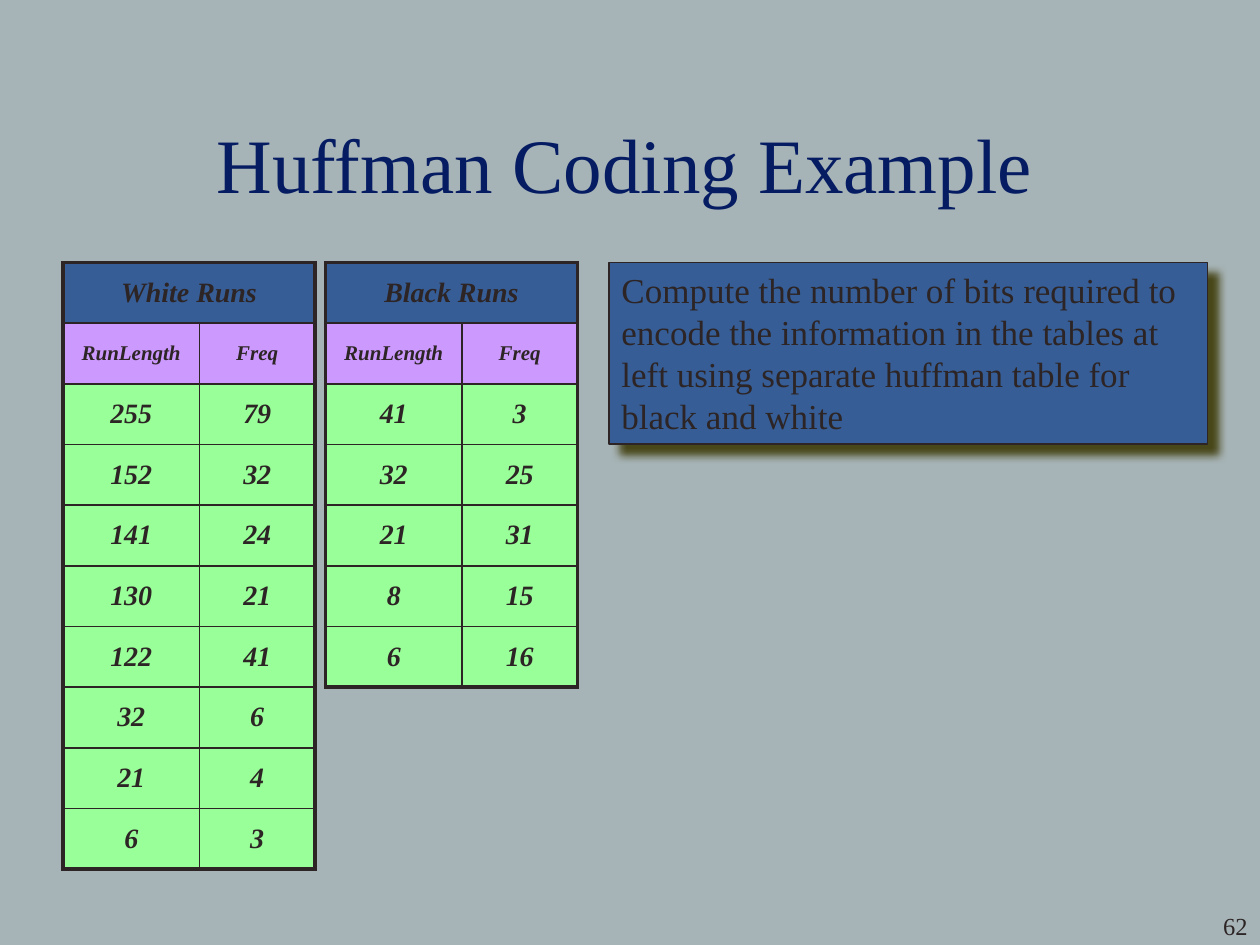
from lxml import etree
from pptx import Presentation
from pptx.dml.color import RGBColor
from pptx.enum.shapes import MSO_SHAPE
from pptx.enum.text import MSO_ANCHOR, MSO_AUTO_SIZE, PP_ALIGN
from pptx.oxml import parse_xml
from pptx.oxml.ns import nsdecls, qn
from pptx.util import Inches, Pt

RECT = MSO_SHAPE.RECTANGLE
MIDDLE = MSO_ANCHOR.MIDDLE
TOP = MSO_ANCHOR.TOP
GROW = MSO_AUTO_SIZE.SHAPE_TO_FIT_TEXT
LEFT, CENTER, RIGHT = PP_ALIGN.LEFT, PP_ALIGN.CENTER, PP_ALIGN.RIGHT

GREY = RGBColor(0xA7, 0xB4, 0xB7)
INK = RGBColor(0x2D, 0x25, 0x25)
NAVY = RGBColor(0x06, 0x1C, 0x62)
BLUE = RGBColor(0x36, 0x5D, 0x96)
LILAC = RGBColor(0xCC, 0x99, 0xFF)
GREEN = RGBColor(0x99, 0xFF, 0x99)
OLIVE = RGBColor(0x48, 0x47, 0x19)

FONT = "Times New Roman"
WIDE, HIGH = Inches(10), Inches(7.5)
COLS, ROWS = 120, 90
THICK, THIN = Pt(2.25), Pt(1)
SPLIT = (13, 11)
STEP = 5.78

WHITE_RUNS = [(255, 79), (152, 32), (141, 24), (130, 21),
              (122, 41), (32, 6), (21, 4), (6, 3)]
BLACK_RUNS = [(41, 3), (32, 25), (21, 31), (8, 15), (6, 16)]


def across(count):
    return round(WIDE * count / COLS)


def down(count):
    return round(HIGH * count / ROWS)


def place(box):
    left, top, width, height = box
    return across(left), down(top), across(width), down(height)


def write(frame, text, size, color=INK, align=LEFT, strong=False):
    para = frame.paragraphs[0]
    para.alignment = align
    run = para.add_run()
    run.text = text
    font = run.font
    font.name, font.size = FONT, Pt(size)
    font.bold = font.italic = strong
    font.color.rgb = color


def add_text(slide, box, text, size, color, align, anchor):
    frame = slide.shapes.add_textbox(*place(box)).text_frame
    frame.word_wrap = True
    frame.vertical_anchor = anchor
    write(frame, text, size, color, align)


def edge(cell, sides):
    props = cell._tc.get_or_add_tcPr()
    for spot, (side, width) in enumerate(sides):
        props.insert(spot, parse_xml(
            f'<a:ln{side} {nsdecls("a")} w="{width}"><a:solidFill>'
            f'<a:srgbClr val="{INK}"/></a:solidFill></a:ln{side}>'))


def add_runs(slide, box, title, runs):
    rows = [(title, ""), ("RunLength", "Freq"), *runs]
    last = len(rows) - 1
    left, top, width, step = box
    area = place((left, top, width, step * len(rows)))
    table = slide.shapes.add_table(len(rows), 2, *area).table
    table.first_row = table.horz_banding = False
    for col, share in zip(table.columns, SPLIT):
        col.width = area[2] * share // sum(SPLIT)
    table.cell(0, 0).merge(table.cell(0, 1))
    for y, row in enumerate(rows):
        table.rows[y].height = down(step)
        fill, size = {0: (BLUE, 16), 1: (LILAC, 12)}.get(y, (GREEN, 16))
        for x, value in enumerate(row):
            cell = table.cell(y, x)
            cell.fill.solid()
            cell.fill.fore_color.rgb = fill
            cell.vertical_anchor = MIDDLE
            edge(cell, [("L", THIN if x else THICK),
                        ("R", THICK if x or y == 0 else THIN),
                        ("T", THIN if y else THICK),
                        ("B", THICK if y == last else THIN)])
            if value != "":
                write(cell.text_frame, str(value), size, align=CENTER, strong=True)


def add_task(slide, box, text):
    shape = slide.shapes.add_shape(RECT, *place(box))
    shape.fill.solid()
    shape.fill.fore_color.rgb = BLUE
    shape.line.color.rgb = INK
    shape.line.width = Pt(0.75)
    shape.shadow.inherit = False
    glow = shape._element.spPr.find(qn("a:effectLst"))
    shade = etree.SubElement(glow, qn("a:outerShdw"), blurRad=str(Pt(5)),
                             dist=str(Pt(8.5)), dir=str(45 * 60000),
                             algn="ctr", rotWithShape="0")
    etree.SubElement(shade, qn("a:srgbClr"), val=str(OLIVE))
    frame = shape.text_frame
    frame.word_wrap = True
    frame.auto_size = GROW
    frame.vertical_anchor = TOP
    write(frame, text, 20)


def main():
    deck = Presentation()
    deck.slide_width, deck.slide_height = WIDE, HIGH
    slide = deck.slides.add_slide(deck.slide_layouts[6])
    back = slide.background.fill
    back.solid()
    back.fore_color.rgb = GREY
    add_text(slide, (100, 86.2, 20, 6), "62", 14, INK, RIGHT, TOP)
    add_text(slide, (3, 8, 113, 15), "Huffman Coding Example",
             44, NAVY, CENTER, MIDDLE)
    width = sum(SPLIT)
    add_runs(slide, (6, 25, width, STEP), "White Runs", WHITE_RUNS)
    add_runs(slide, (31, 25, width, STEP), "Black Runs", BLACK_RUNS)
    add_task(slide, (58, 25, 57, 17.3),
             "Compute the number of bits required to encode the information "
             "in the tables at left using separate huffman table for black and white")
    deck.save("out.pptx")


if __name__ == "__main__":
    main()
